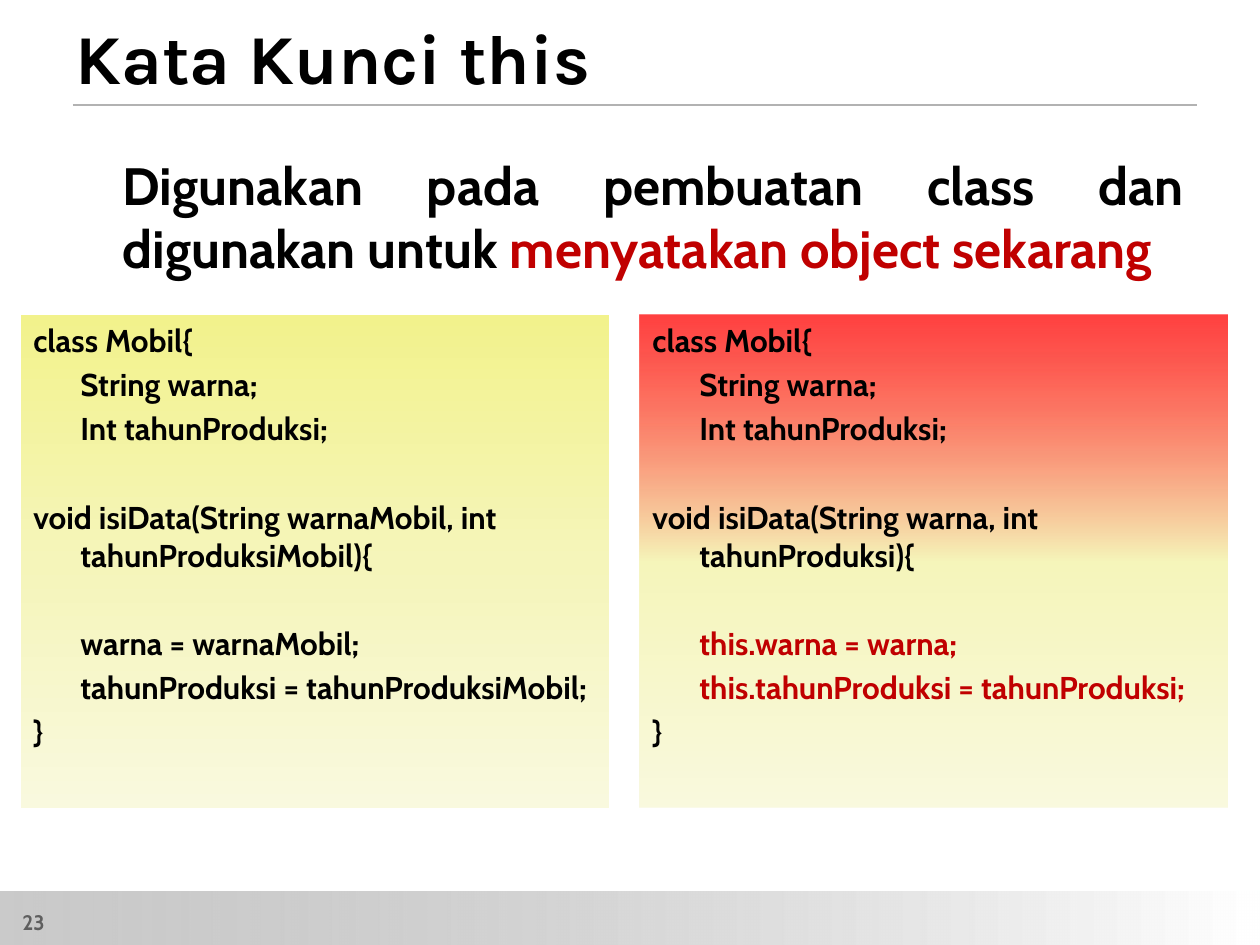
"""Build the slide on the keyword this, with two class listings side by side."""
from lxml.etree import SubElement as Sub
from pptx import Presentation
from pptx.dml.color import RGBColor as RGB
from pptx.enum.shapes import MSO_CONNECTOR as Conn, MSO_SHAPE as Shape
from pptx.enum.text import MSO_ANCHOR as Anchor, MSO_AUTO_SIZE as Auto, PP_ALIGN as Align
from pptx.oxml.ns import qn
from pptx.util import Emu, Pt

SCALE = 914400 / 126
HUE = {"ink": "000000", "red": "C00000", "page": "5F5F5F", "rule": "B2B2B2",
       "gray": "969696", "white": "FFFFFF", "lemon": "F2F28C",
       "hot": "FF0000", "cream": "F5F5BA", "pale": "F9F9DE"}


def px(*nums):
    return [Emu(round(n * SCALE)) for n in nums]


def style(run, size, hue="ink", face="Cabin"):
    font = run.font
    font.name, font.size, font.bold = face, Pt(size), True
    font.color.rgb = RGB.from_string(HUE[hue])


deck = Presentation()
deck.slide_width, deck.slide_height = px(1260, 945)
slide = deck.slides.add_slide(deck.slide_layouts[1])
shapes = slide.shapes
title, body = shapes.title, slide.placeholders[1]

title.left, title.top, title.width, title.height = px(63, 0, 1155, 105)
frame = title.text_frame
frame.text = "Kata Kunci this"
frame.auto_size, frame.vertical_anchor = Auto.NONE, Anchor.BOTTOM
frame.paragraphs[0].alignment = Align.LEFT
style(frame.paragraphs[0].runs[0], 40, face="Karla")

body.left, body.top, body.width, body.height = px(63, 147, 1134, 231)
frame = body.text_frame
frame.auto_size = Auto.NONE
para = frame.paragraphs[0]
para.alignment, para.space_before = Align.JUSTIFY, Pt(6)
props = para._p.get_or_add_pPr()
props.set("marL", str(px(47)[0]))
props.set("indent", "0")
Sub(props, qn("a:buNone"))
for text, hue in [("Digunakan pada pembuatan class dan digunakan untuk ", "ink"),
                  ("menyatakan object sekarang", "red")]:
    run = para.add_run()
    run.text = text
    style(run, 30, hue)

rule = shapes.add_connector(Conn.STRAIGHT, *px(73, 105, 1197, 105))
rule.line.color.rgb = RGB.from_string(HUE["rule"])
rule.line.width = Pt(1)
Sub(rule._element.spPr, qn("a:effectLst"))

fade = [("cream", 50, 100), ("pale", 100, 100)]
fields = [("class Mobil{", 0, 0, "ink"), ("String warna;", 1, 0, "ink"),
          ("Int tahunProduksi;", 1, 0, "ink")]
left = fields + [
    ("void isiData(String warnaMobil, int tahunProduksiMobil){", 0, 1, "ink"),
    ("warna = warnaMobil;", 1, 1, "ink"),
    ("tahunProduksi = tahunProduksiMobil;", 1, 0, "ink"), ("}", 0, 0, "ink")]
right = fields + [
    ("void isiData(String warna, int tahunProduksi){", 0, 1, "ink"),
    ("this.warna = warna;", 1, 1, "red"),
    ("this.tahunProduksi = tahunProduksi;", 1, 0, "red"), ("}", 0, 0, "ink")]
panels = [
    ((0, 892, 1260, 53), 0, [("gray", 0, 50), ("white", 100, 100)], []),
    ((21, 315, 588, 493), 90, [("lemon", 0, 100)] + fade, left),
    ((640, 315, 588, 493), 90, [("hot", 0, 74)] + fade, right)]

for place, angle, stops, code in panels:
    box = shapes.add_shape(Shape.RECTANGLE, *px(*place))
    box.shadow.inherit = False
    box.line.fill.background()
    box.fill.gradient()
    grad = box._element.spPr.find(qn("a:gradFill"))
    for node in list(grad):
        grad.remove(node)
    group = Sub(grad, qn("a:gsLst"))
    for hue, spot, alpha in stops:
        stop = Sub(group, qn("a:gs"), pos=str(spot * 1000))
        tint = Sub(stop, qn("a:srgbClr"), val=HUE[hue])
        if alpha < 100:
            Sub(tint, qn("a:alpha"), val=str(alpha * 1000))
    Sub(grad, qn("a:lin"), ang=str(angle * 60000), scaled="0")
    frame = box.text_frame
    frame.word_wrap, frame.vertical_anchor = True, Anchor.TOP
    for i, (text, level, gap, hue) in enumerate(code):
        para = frame.add_paragraph() if i else frame.paragraphs[0]
        para.text = text
        para.alignment = Align.LEFT
        para.space_before = Pt(29 if gap else 3.6)
        props = para._p.get_or_add_pPr()
        props.set("marL", str(px(47)[0]))
        props.set("indent", str(0 if level else px(-47)[0]))
        style(para.runs[0], 18, hue)

page = shapes.add_textbox(*px(10, 903, 294, 32)).text_frame
page.word_wrap = True
page.text = "23"
style(page.paragraphs[0].runs[0], 12, "page")

deck.save("out.pptx")
